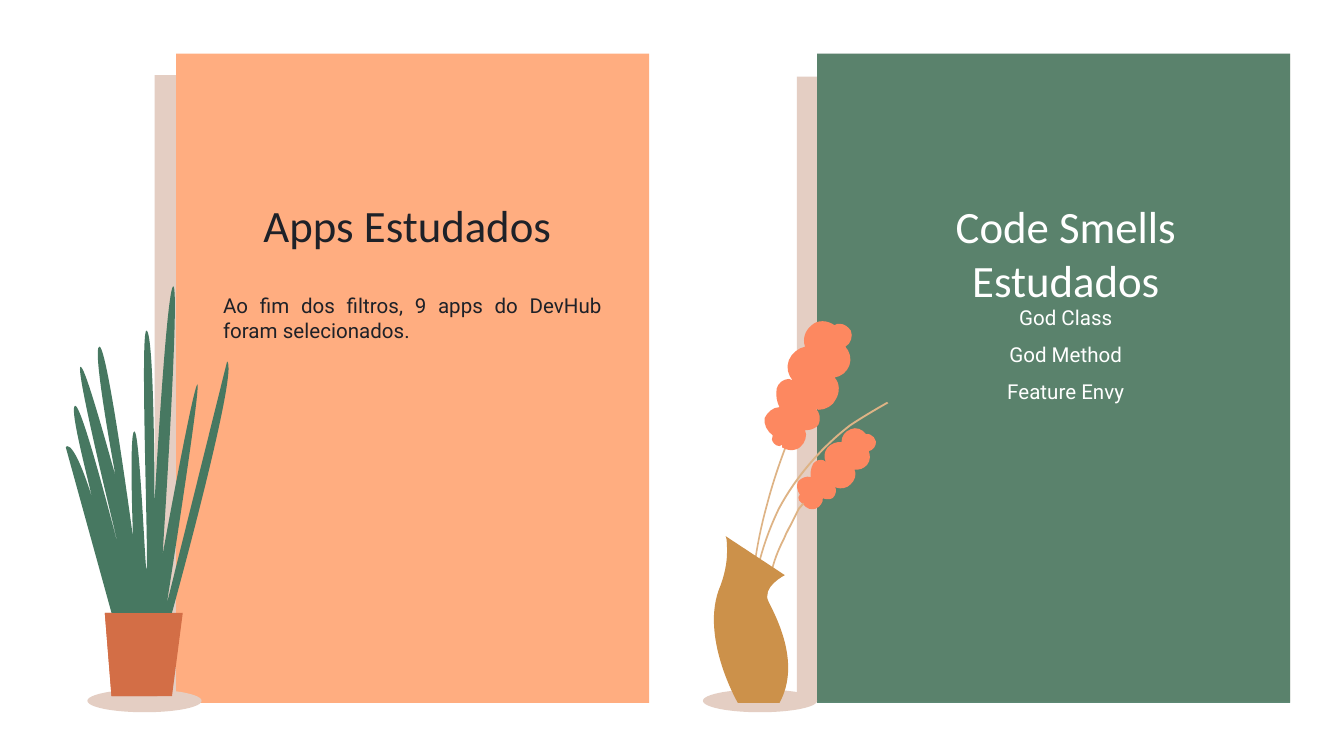
from dataclasses import dataclass

from lxml.etree import SubElement
from pptx import Presentation
from pptx.dml.color import RGBColor
from pptx.enum.shapes import MSO_SHAPE
from pptx.enum.text import MSO_ANCHOR, MSO_AUTO_SIZE, PP_ALIGN
from pptx.oxml.ns import qn
from pptx.util import Inches, Pt


@dataclass(frozen=True)
class Theme:
    ink: str = "1E2128"
    white: str = "FFFFFF"
    peach: str = "FFAD80"
    green: str = "477861"
    shade: str = "E4CEC3"
    pot: str = "D36E46"
    stem: str = "DEB385"
    vase: str = "CC914A"
    berry: str = "FD8860"
    title_font: str = "Calibri"
    body_font: str = "Roboto"
    title_size: int = 24
    body_size: int = 11


T = Theme()
SLIDE_W, SLIDE_H = 10, 10 * 9 / 16
PANEL_W, PANEL_H, PANEL_TOP = 3.52, 4.83, 0.4
PANEL_X = 1.31, 6.08
HEAD_H, BODY_TOP = 0.69, 2.08
SHADOW_X, SHADOW_SIZE = (0.65, 5.23), (0.85, 0.17)
STEM_WIDTH = 0.01

# placeholder index, left, top, width, height, lines, colour, alignment, spacing
HEADINGS = [
    (0, 1.81, 1.37, 2.44, HEAD_H, ["Apps Estudados"], T.ink, PP_ALIGN.CENTER, 1),
    (3, 6.75, 1.38, 2.36, HEAD_H, ["Code Smells Estudados"], T.white, PP_ALIGN.CENTER, 1),
]
BODIES = [
    (2, 1.56, BODY_TOP, 3.02, 2.06,
     ["Ao fim dos filtros, 9 apps do DevHub foram selecionados."],
     T.ink, PP_ALIGN.JUSTIFY, 1),
    (4, 6.75, BODY_TOP, 2.36, 1.64,
     ["God Class", "God Method", "Feature Envy"], T.white, PP_ALIGN.CENTER, 1.5),
]

# Outlines in inches: a pair is a straight step, six numbers are a Bézier step.
POT = [(0.78, 4.56), (0.83, 5.18), (1.28, 5.18), (1.36, 4.56)]
POT_SIDE = [(0.78, 4.56), (0.83, 5.18), (1.17, 5.18), (0.83, 4.56)]
LEAVES = [
    (1.29, 2.13), (1.24, 2.13, 1.15, 3.74, 1.15, 3.74),
    (1.15, 3.74, 1.15, 2.47, 1.09, 2.46), (1.04, 2.46, 1.11, 4.23, 1.09, 4.24),
    (1.08, 4.24, 1.04, 3.21, 1, 3.21), (0.96, 3.21, 0.99, 4, 0.99, 4),
    (0.99, 4, 0.8, 2.58, 0.74, 2.58), (0.68, 2.58, 0.86, 3.54, 0.86, 3.54),
    (0.85, 3.52, 0.64, 2.73, 0.6, 2.73), (0.55, 2.73, 0.93, 4.26, 0.93, 4.26),
    (0.93, 4.26, 0.62, 3.02, 0.56, 3.02), (0.52, 3.03, 0.61, 3.39, 0.69, 3.72),
    (0.63, 3.52, 0.55, 3.32, 0.5, 3.32), (0.49, 3.33), (0.83, 4.56), (1.28, 4.56),
    (1.28, 4.56, 1.78, 2.75, 1.69, 2.69), (1.24, 4.5),
    (1.24, 4.5, 1.49, 2.92, 1.47, 2.86), (1.44, 2.86, 1.21, 4.13, 1.21, 4.13),
    (1.21, 4.13, 1.34, 2.16, 1.29, 2.13),
]
VASE = [
    (5.4, 3.99), (5.41, 4.01, 5.41, 4.06, 5.41, 4.11),
    (5.41, 4.19, 5.39, 4.28, 5.36, 4.36), (5.2, 4.73, 5.49, 5.23, 5.49, 5.23),
    (5.8, 5.23), (5.96, 4.94, 5.78, 4.6, 5.72, 4.48),
    (5.66, 4.37, 5.84, 4.28, 5.84, 4.28),
]
BACK_STEM = [
    (6.17, 2.52), (6.14, 2.62), (6.02, 2.88), (5.93, 3.1, 5.79, 3.41, 5.7, 3.76),
    (5.65, 3.94, 5.62, 4.11, 5.6, 4.27), (5.58, 4.43, 5.57, 4.57, 5.58, 4.69),
    (5.58, 4.81, 5.58, 4.91, 5.59, 5.07),
]
FRONT_STEMS = [
    [(6.07, 3.61), (6, 3.71), (5.94, 3.78), (5.89, 3.88),
     (5.87, 3.92, 5.85, 3.95, 5.83, 4), (5.79, 4.08, 5.75, 4.17, 5.73, 4.28),
     (5.7, 4.38, 5.69, 4.48, 5.68, 4.57), (5.68, 4.7, 5.67, 4.85, 5.71, 5.02)],
    [(6.6, 2.99), (6.53, 3.03), (6.48, 3.06, 6.41, 3.1, 6.32, 3.16),
     (6.15, 3.29, 5.94, 3.5, 5.79, 3.78), (5.65, 4.07, 5.59, 4.36, 5.59, 4.57),
     (5.59, 4.67, 5.59, 4.76, 5.61, 4.9)],
]
BERRIES = [
    (6.12, 2.39), (6.09, 2.39, 6.06, 2.4, 6.04, 2.42),
    (5.99, 2.46, 5.97, 2.52, 5.99, 2.58), (5.94, 2.59, 5.89, 2.63, 5.87, 2.68),
    (5.85, 2.73, 5.86, 2.79, 5.9, 2.83), (5.89, 2.82, 5.88, 2.82, 5.87, 2.82),
    (5.83, 2.82, 5.79, 2.85, 5.78, 2.89), (5.77, 2.94, 5.78, 2.99, 5.8, 3.03),
    (5.75, 3.03, 5.71, 3.07, 5.69, 3.11), (5.68, 3.16, 5.71, 3.21, 5.75, 3.24),
    (5.74, 3.26, 5.74, 3.28, 5.76, 3.3), (5.77, 3.31, 5.78, 3.32, 5.8, 3.32),
    (5.82, 3.31), (5.82, 3.33), (5.84, 3.34, 5.86, 3.35, 5.89, 3.35),
    (5.91, 3.35, 5.94, 3.34, 5.95, 3.33), (5.99, 3.3, 6.01, 3.24, 5.99, 3.2),
    (6.01, 3.2), (6.04, 3.2, 6.08, 3.18, 6.09, 3.16),
    (6.11, 3.12, 6.1, 3.07, 6.07, 3.04), (6.09, 3.05),
    (6.14, 3.05, 6.2, 3.02, 6.22, 2.97), (6.25, 2.92, 6.25, 2.85, 6.21, 2.81),
    (6.26, 2.8, 6.3, 2.77, 6.32, 2.72), (6.34, 2.67, 6.32, 2.61, 6.29, 2.58),
    (6.33, 2.56, 6.35, 2.5, 6.33, 2.46), (6.31, 2.43, 6.28, 2.41, 6.25, 2.41),
    (6.23, 2.41, 6.22, 2.41, 6.21, 2.42), (6.18, 2.4, 6.15, 2.39, 6.12, 2.39),
]
BERRY_CENTRE, SPRIG_CENTRE = (6.01, 2.87), (6.21, 3.49)
SPRIG_SCALE, SPRIG_TURN = 0.71, 18.4


def paint(sp, color, alpha=None):
    sp.shadow.inherit = False
    sp.fill.solid()
    sp.fill.fore_color.rgb = RGBColor.from_string(color)
    sp.line.fill.background()
    if alpha:
        clr = sp.element.spPr.find(qn("a:solidFill"))[0]
        SubElement(clr, qn("a:alpha"), val=str(alpha * 1000))


def add_preset(s, kind, x, y, w, h, color, alpha=None):
    sp = s.shapes.add_shape(kind, Inches(x), Inches(y), Inches(w), Inches(h))
    paint(sp, color, alpha)


def add_outline(s, steps, color):
    """Join the step ends with a freeform, then bend its Bézier steps."""
    ends = [(Inches(step[-2]), Inches(step[-1])) for step in steps]
    builder = s.shapes.build_freeform(*ends[0])
    builder.add_line_segments(ends[1:], close=False)
    sp = builder.convert_to_shape()
    path = next(sp.element.iter(qn("a:path")))
    for step, line in zip(steps[1:], path.findall(qn("a:lnTo"))):
        if len(step) == 6:
            curve = path.makeelement(qn("a:cubicBezTo"))
            for x, y in zip(step[::2], step[1::2]):
                SubElement(curve, qn("a:pt"), x=str(Inches(x) - sp.left), y=str(Inches(y) - sp.top))
            path.replace(line, curve)
    SubElement(path, qn("a:close"))
    paint(sp, color)
    return sp


def add_stem(s, steps):
    """Draw a thin blade: down the curve, then back up beside it."""
    back, controls = [], ()
    for step in reversed(steps):
        x, y = step[-2:]
        back.append(tuple(v + STEM_WIDTH for v in (*controls, x, y)))
        controls = (*step[2:4], *step[:2]) if len(step) == 6 else ()
    add_outline(s, steps + back, T.stem)


def fill_placeholder(s, row, font, size):
    idx, x, y, w, h, lines, color, align, spacing = row
    ph = next(p for p in s.placeholders if p.placeholder_format.idx == idx)
    ph.left, ph.top, ph.width, ph.height = map(Inches, (x, y, w, h))
    s.shapes.element.append(ph.element)  # in front of the panels
    tf = ph.text_frame
    tf.text = "\n".join(lines)
    tf.word_wrap, tf.auto_size = True, MSO_AUTO_SIZE.NONE
    tf.vertical_anchor = MSO_ANCHOR.TOP
    tf.margin_left = tf.margin_right = tf.margin_top = tf.margin_bottom = Inches(0.1)
    for p in tf.paragraphs:
        p.alignment, p.line_spacing = align, spacing
        p.space_before = p.space_after = Pt(0)
        p.font.name, p.font.size, p.font.bold = font, Pt(size), False
        p.font.color.rgb = RGBColor.from_string(color)
        pPr = p._p.get_or_add_pPr()
        pPr.set("marL", "0")
        pPr.set("indent", "0")
        pPr.insert_element_before(pPr.makeelement(qn("a:buNone")), "a:tabLst", "a:defRPr")


def main():
    prs = Presentation()
    prs.slide_width, prs.slide_height = Inches(SLIDE_W), Inches(SLIDE_H)
    s = prs.slides.add_slide(prs.slide_layouts.get_by_name("Comparison"))

    rect, oval = MSO_SHAPE.RECTANGLE, MSO_SHAPE.OVAL
    left, right = PANEL_X
    add_preset(s, rect, right - 0.15, PANEL_TOP, 3.67, 4.82, T.shade)
    add_preset(s, rect, right - 0.25, 0.33, 0.25, 0.24, T.white)
    add_preset(s, rect, right, PANEL_TOP, PANEL_W, PANEL_H, T.green, 88)
    add_preset(s, rect, left - 0.16, 0.56, PANEL_W, 4.62, T.shade)
    add_preset(s, rect, left, PANEL_TOP, PANEL_W, PANEL_H, T.peach)

    for heading, body in zip(HEADINGS, BODIES):
        fill_placeholder(s, body, T.body_font, T.body_size)
        fill_placeholder(s, heading, T.title_font, T.title_size)
    for ph in list(s.placeholders):
        if not ph.text_frame.text:
            s.shapes.element.remove(ph.element)

    add_preset(s, oval, SHADOW_X[0], 5.13, *SHADOW_SIZE, T.shade)
    for steps, color in ((POT, T.pot), (LEAVES, T.green), (POT_SIDE, T.pot)):
        add_outline(s, steps, color)

    add_preset(s, oval, SHADOW_X[1], 5.13, *SHADOW_SIZE, T.shade)
    add_stem(s, BACK_STEM)
    add_outline(s, BERRIES, T.berry)
    for steps in FRONT_STEMS:
        add_stem(s, steps)
    add_outline(s, VASE, T.vase)
    sprig = [tuple(SPRIG_CENTRE[i % 2] + SPRIG_SCALE * (v - BERRY_CENTRE[i % 2])
                   for i, v in enumerate(step)) for step in BERRIES]
    add_outline(s, sprig, T.berry).rotation = SPRIG_TURN

    prs.save("out.pptx")


if __name__ == "__main__":
    main()
